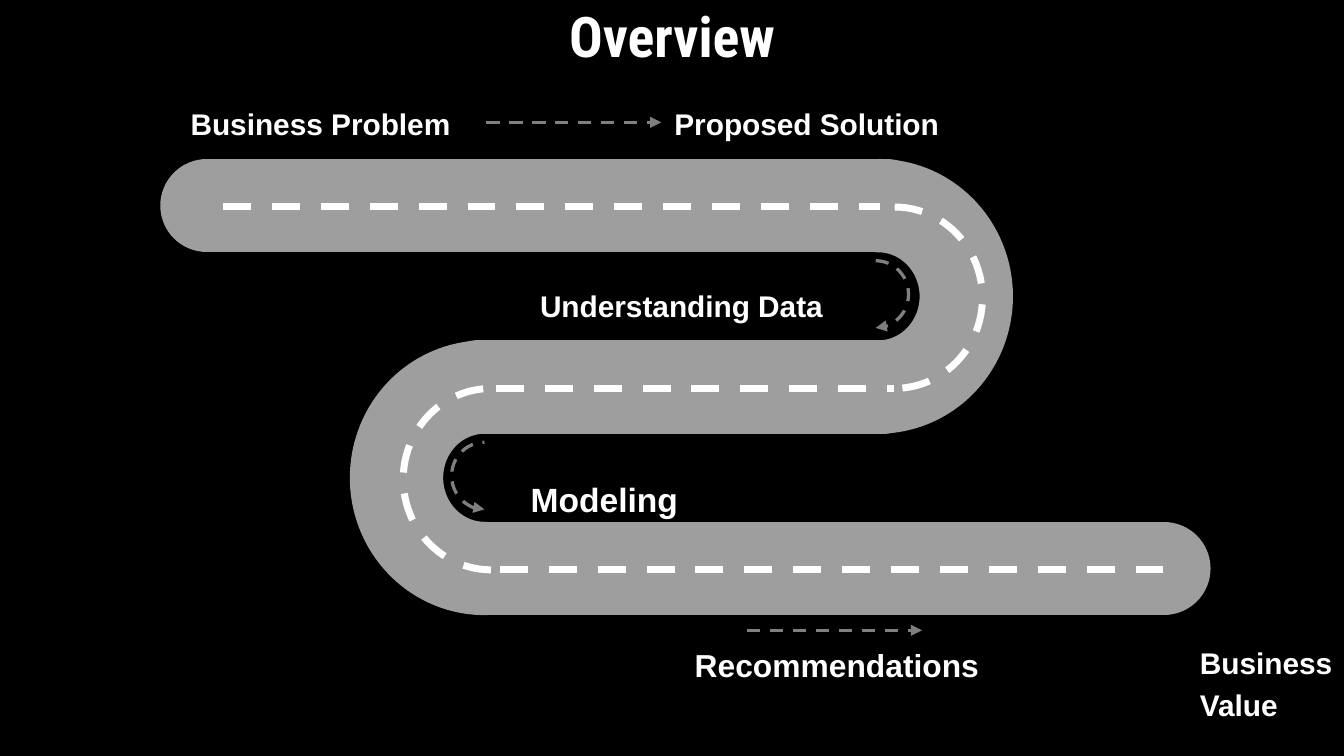
from pptx import Presentation
from pptx.dml.color import RGBColor
from pptx.enum.dml import MSO_LINE
from pptx.enum.shapes import MSO_CONNECTOR, MSO_SHAPE
from pptx.enum.text import MSO_ANCHOR, MSO_AUTO_SIZE, PP_ALIGN
from pptx.oxml.ns import qn
from pptx.util import Inches, Pt
from lxml.etree import SubElement

COLORS = {"night": "000000", "text": "FFFFFF", "road": "9E9E9E",
          "lane": "FFFFFF", "arrow": "7F7F7F"}

TITLE = ("Overview", 0.34, 0.11, 9.32, 0.5)

# text, left, top, width, height, size, line spacing, indent
LABELS = [
    ("Business Problem", 1.32, 0.65, 2.47, 0.47, 16, 1.15, 0),
    ("Proposed Solution", 4.92, 0.65, 2.57, 0.47, 16, 1.15, 0),
    ("Understanding Data", 3.92, 2.04, 4.83, 0.47, 16, 1, 0),
    ("Modeling", 3.85, 3.42, 3.28, 0.5, 18, 1.15, 0),
    ("Recommendations", 4.57, 4.66, 3.28, 0.49, 17, 1.15, 0.5),
    ("Business Value", 8.33, 4.66, 2.32, 0.78, 16, 1.15, 0.5),
]

ROW_TOP, ROW_GAP = 1.53, 1.35
BEND_WIDTH = 1.31
TRACKS = [
    {"color": "road", "weight": 50, "dashed": False, "cap": "rnd", "drop": 0,
     "right_bend": 5.88, "left_bend": 2.95,
     "rows": [(1.54, 6.59), (3.57, 6.56), (3.6, 8.66)]},
    {"color": "lane", "weight": 3.75, "dashed": True, "cap": "flat", "drop": 0.01,
     "right_bend": 6, "left_bend": 3,
     "rows": [(1.66, 6.55), (3.69, 6.65), (3.72, 8.7)]},
]

ARROW = {"color": "arrow", "weight": 1.75, "dashed": True, "cap": "flat"}
ARROW_LENGTH = 1.3
STRAIGHT_ARROWS = [(3.62, 0.91), (5.56, 4.69)]
# left, top, rotation, arrowhead end
CURVED_ARROWS = [(3.36, 3.29, 180, "headEnd"), (6.27, 1.94, 0, "tailEnd")]


def rgb(name):
    return RGBColor.from_string(COLORS[name])


def style_line(shape, style, arrowhead=None):
    line = shape.line
    line.color.rgb = rgb(style["color"])
    line.width = Pt(style["weight"])
    if style["dashed"]:
        line.dash_style = MSO_LINE.DASH
    outline = shape._element.spPr.find(qn("a:ln"))
    outline.set("cap", style["cap"])
    if arrowhead:
        SubElement(outline, qn("a:" + arrowhead), type="triangle")


def add_bend(shapes, left, top, width, height, rotation, style, arrowhead=None):
    bend = shapes.add_shape(MSO_SHAPE.ARC, Inches(left), Inches(top),
                            Inches(width), Inches(height))
    bend.adjustments[0] = 162.115
    bend.adjustments[1] = 53.911
    bend.rotation = rotation
    bend.shadow.inherit = False
    bend.fill.background()
    style_line(bend, style, arrowhead)


def add_straight(shapes, start, end, y, style, arrowhead=None):
    straight = shapes.add_connector(MSO_CONNECTOR.STRAIGHT, Inches(start), Inches(y),
                                    Inches(end), Inches(y))
    style_line(straight, style, arrowhead)
    SubElement(straight._element.spPr, qn("a:effectLst"))


def add_text(shapes, text, left, top, width, height, size, spacing=1.15,
             indent=0, font="Arial"):
    box = shapes.add_textbox(Inches(left), Inches(top), Inches(width), Inches(height))
    frame = box.text_frame
    frame.word_wrap = True
    frame.margin_left = frame.margin_right = Inches(0.1)
    frame.margin_top = frame.margin_bottom = Inches(0.1)
    para = frame.paragraphs[0]
    para.line_spacing = spacing
    if indent:
        properties = para._p.get_or_add_pPr()
        properties.set("marL", str(Inches(indent)))
        properties.set("indent", "0")
    span = para.add_run()
    span.text = text
    span.font.name = font
    span.font.size = Pt(size)
    span.font.bold = True
    span.font.color.rgb = rgb("text")
    return frame


def add_track(shapes, track):
    group = shapes.add_group_shape().shapes
    tops = [ROW_TOP + track["drop"] + ROW_GAP * row for row in range(3)]
    add_bend(group, track["right_bend"], tops[0], BEND_WIDTH, ROW_GAP, 0, track)
    add_bend(group, track["left_bend"], tops[1], BEND_WIDTH, ROW_GAP, 180, track)
    for (start, end), y in zip(track["rows"], tops):
        add_straight(group, start, end, y, track)


def main():
    deck = Presentation()
    deck.slide_width = Inches(10)
    deck.slide_height = deck.slide_width * 9 // 16
    page = deck.slides.add_slide(deck.slide_layouts[6])
    page.background.fill.solid()
    page.background.fill.fore_color.rgb = rgb("night")
    shapes = page.shapes

    title = add_text(shapes, *TITLE, 30, font="Roboto Condensed")
    title.vertical_anchor = MSO_ANCHOR.BOTTOM
    title.paragraphs[0].alignment = PP_ALIGN.CENTER

    for track in TRACKS:
        add_track(shapes, track)
    for left, top, rotation, arrowhead in CURVED_ARROWS:
        add_bend(shapes, left, top, 0.49, 0.5, rotation, ARROW, arrowhead)
    for left, y in STRAIGHT_ARROWS:
        add_straight(shapes, left, left + ARROW_LENGTH, y, ARROW, "tailEnd")
    for label in LABELS:
        add_text(shapes, *label).auto_size = MSO_AUTO_SIZE.SHAPE_TO_FIT_TEXT

    deck.save("out.pptx")


if __name__ == "__main__":
    main()
